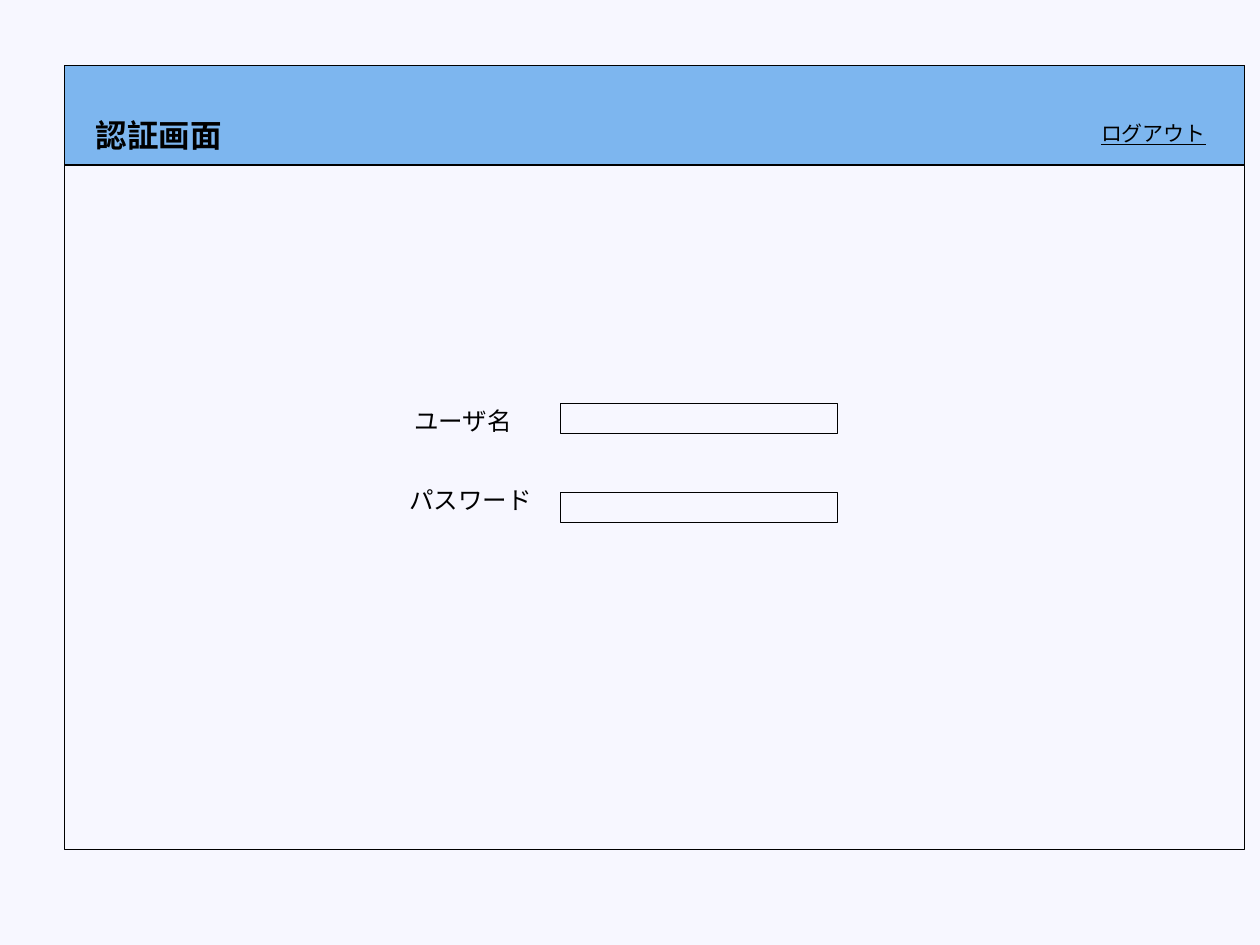
from pptx import Presentation
from pptx.dml.color import RGBColor
from pptx.enum.shapes import MSO_SHAPE
from pptx.enum.text import MSO_ANCHOR, MSO_AUTO_SIZE, PP_ALIGN
from pptx.util import Inches, Pt

COLORS = {"page": "F7F7FF", "band": "7DB6EF", "ink": "000000"}


def color(name):
    return RGBColor.from_string(COLORS[name])


def place(shape, box):
    shape.left, shape.top, shape.width, shape.height = map(Inches, box)


def add_box(slide, box, fill):
    shape = slide.shapes.add_shape(MSO_SHAPE.RECTANGLE, *map(Inches, box))
    shape.shadow.inherit = False
    shape.fill.solid()
    shape.fill.fore_color.rgb = color(fill)
    shape.line.color.rgb = color("ink")
    shape.line.width = Pt(0.75)


def set_text(shape, text, size, bold=False, underline=False):
    frame = shape.text_frame
    frame.text = text
    frame.word_wrap = False
    frame.auto_size = MSO_AUTO_SIZE.NONE
    frame.vertical_anchor = MSO_ANCHOR.TOP
    para = frame.paragraphs[0]
    para.alignment = PP_ALIGN.LEFT
    font = para.runs[0].font
    font.name = "Arial"
    font.size = Pt(size)
    font.bold = bold
    font.underline = underline
    font.color.rgb = color("ink")


def add_label(slide, box, text, size, underline=False):
    label = slide.shapes.add_textbox(*map(Inches, box))
    set_text(label, text, size, underline=underline)


def add_title(slide, box, text):
    title = slide.shapes.title
    place(title, box)
    set_text(title, text, 18, bold=True)
    # Bring the title in front of the header band
    title.element.getparent().append(title.element)


def main():
    deck = Presentation()
    deck.slide_width, deck.slide_height = Inches(10), Inches(7.5)
    slide = deck.slides.add_slide(deck.slide_layouts[5])
    slide.background.fill.solid()
    slide.background.fill.fore_color.rgb = color("page")

    # Window frame and header band
    add_box(slide, (0.51, 0.52, 9.37, 6.22), "page")
    add_box(slide, (0.51, 0.52, 9.37, 0.79), "band")
    add_title(slide, (0.66, 0.87, 1.25, 0.4), "認証画面")

    # Login form
    fields = [
        ("ユーザ名", (3.19, 3.17, 1.02, 0.34), 3.2),
        ("パスワード", (3.15, 3.8, 1.22, 0.34), 3.91),
    ]
    for text, box, top in fields:
        add_label(slide, box, text, 14)
        add_box(slide, (4.45, top, 2.2, 0.24), "page")

    # Logout link
    add_label(slide, (8.64, 0.91, 1.07, 0.3), "ログアウト", 12, underline=True)

    deck.save("out.pptx")


if __name__ == "__main__":
    main()
